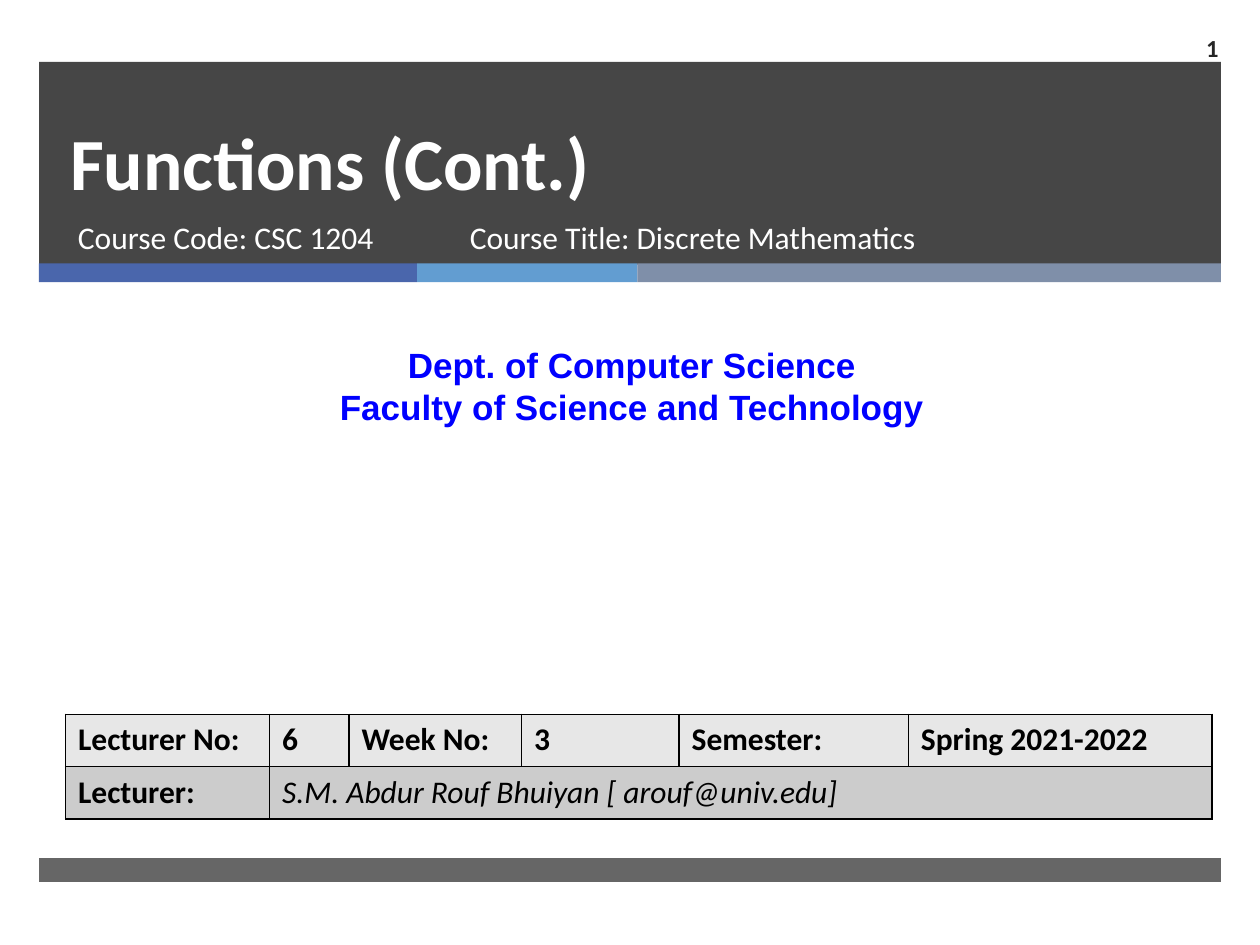
from lxml.etree import SubElement
from pptx import Presentation
from pptx.dml.color import RGBColor
from pptx.enum.shapes import MSO_SHAPE
from pptx.enum.text import MSO_ANCHOR as ANCHOR, PP_ALIGN as ALIGN
from pptx.oxml.ns import qn
from pptx.util import Inches, Pt

BLACK = RGBColor(0x00, 0x00, 0x00)
WHITE = RGBColor(0xFF, 0xFF, 0xFF)
DARK = RGBColor(0x26, 0x26, 0x26)
BLUE = RGBColor(0x00, 0x00, 0xFF)
STRIPES = [
    (3, RGBColor(0x4A, 0x66, 0xAC)),
    (1.75, RGBColor(0x62, 0x9D, 0xD1)),
    (4.63, RGBColor(0x7F, 0x8F, 0xA9)),
]
ROW_FILLS = [RGBColor(0xE7, 0xE7, 0xE7), RGBColor(0xCC, 0xCC, 0xCC)]
COL_WIDTHS = [1.62, 0.63, 1.37, 1.25, 1.82, 2.41]
ROW_HEIGHT = 0.415
ROWS = [
    ["Lecturer No:", "6", "Week No:", "3", "Semester:", "Spring 2021-2022"],
    ["Lecturer:", "S.M. Abdur Rouf Bhuiyan [ arouf@univ.edu]"],
]


def write_text(tf, text, size=18, font="Calibri", color=WHITE, bold=False,
               italic=False, align=ALIGN.LEFT, spacing=None):
    """Fill a text frame with one formatted paragraph per line."""
    for i, line in enumerate(text.split("\n")):
        p = tf.add_paragraph() if i else tf.paragraphs[0]
        p.alignment = align
        if spacing:
            p.line_spacing = Pt(spacing)
        r = p.add_run()
        r.text = line
        r.font.size = Pt(size)
        r.font.name = font
        r.font.color.rgb = color
        r.font.bold = bold
        r.font.italic = italic


def add_text(s, box, text, anchor=ANCHOR.TOP, **fmt):
    """Add a wrapping text box."""
    tf = s.shapes.add_textbox(*map(Inches, box)).text_frame
    tf.word_wrap = True
    tf.vertical_anchor = anchor
    write_text(tf, text, **fmt)


def add_bar(s, box, color, opacity=100):
    """Add a borderless rectangle with an opacity in percent."""
    sp = s.shapes.add_shape(MSO_SHAPE.RECTANGLE, *map(Inches, box))
    sp.shadow.inherit = False
    sp.fill.solid()
    sp.fill.fore_color.rgb = color
    sp.line.fill.background()
    if opacity < 100:
        clr = sp.fill._xPr.find(".//" + qn("a:srgbClr"))
        SubElement(clr, qn("a:alpha"), val=str(opacity * 1000))


def style_cell(cell, color):
    """Give a cell its fill and thin black borders."""
    tc_pr = cell._tc.get_or_add_tcPr()
    for side in ("lnL", "lnR", "lnT", "lnB"):
        ln = SubElement(tc_pr, qn(f"a:{side}"), w=str(Pt(1)))
        fill = SubElement(ln, qn("a:solidFill"))
        SubElement(fill, qn("a:srgbClr"), val=str(BLACK))
    cell.fill.solid()
    cell.fill.fore_color.rgb = color


def add_info_table(s, left, top):
    """Add the lecture details table."""
    size = (sum(COL_WIDTHS), ROW_HEIGHT * len(ROWS))
    frame = s.shapes.add_table(len(ROWS), len(COL_WIDTHS),
                               *map(Inches, (left, top, *size)))
    table = frame.table
    for col, width in zip(table.columns, COL_WIDTHS):
        col.width = Inches(width)
    table.cell(1, 1).merge(table.cell(1, len(COL_WIDTHS) - 1))
    for i, (texts, color) in enumerate(zip(ROWS, ROW_FILLS)):
        for cell in table.rows[i].cells:
            style_cell(cell, color)
        for j, text in enumerate(texts):
            is_name = (i, j) == (1, 1)
            write_text(table.cell(i, j).text_frame, text, color=BLACK,
                       bold=not is_name, italic=is_name)


def main():
    """Build the title slide."""
    prs = Presentation()
    prs.slide_width, prs.slide_height = Inches(10), Inches(7.5)
    s = prs.slides.add_slide(prs.slide_layouts[6])

    add_bar(s, (0.31, 0.49, 9.38, 1.61), DARK, opacity=85)
    left = 0.31
    for width, color in STRIPES:
        add_bar(s, (left, 2.09, width, 0.15), color)
        left += width
    add_bar(s, (0.31, 6.81, 9.38, 0.19), DARK, opacity=70)

    add_text(s, (0.46, 0.49, 8.54, 1.19), "Functions (Cont.)",
             anchor=ANCHOR.BOTTOM, size=42, bold=True, spacing=46)
    add_text(s, (0.52, 1.68, 3.05, 0.53), "Course Code: CSC 1204")
    add_text(s, (0.08, 2.68, 9.87, 0.77),
             "Dept. of Computer Science\nFaculty of Science and Technology",
             size=20, font="Arial", color=BLUE, bold=True, align=ALIGN.CENTER)
    add_info_table(s, 0.52, 5.67)
    add_text(s, (3.63, 1.68, 4.55, 0.53), "Course Title: Discrete Mathematics")
    add_text(s, (9.08, 0.18, 0.69, 0.39), "1", anchor=ANCHOR.MIDDLE,
             size=14, color=DARK, bold=True, align=ALIGN.RIGHT)
    prs.save("out.pptx")


if __name__ == "__main__":
    main()
